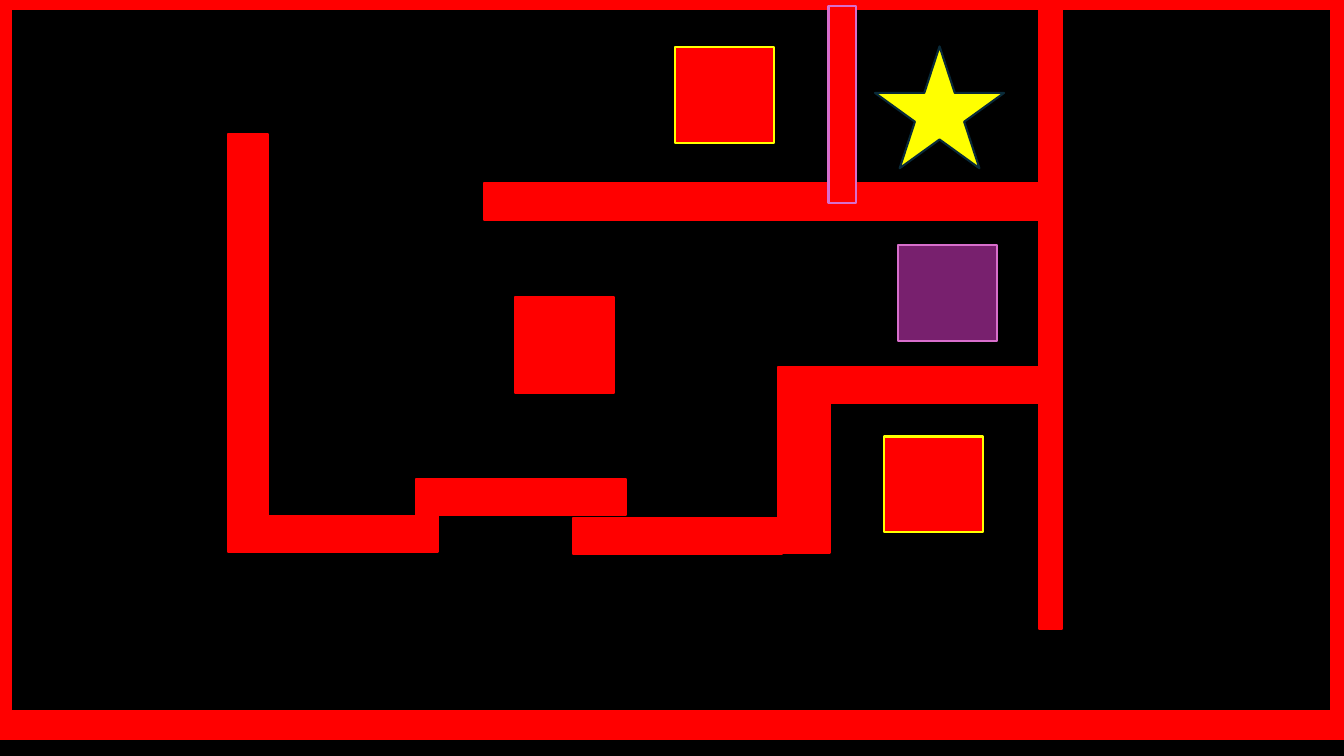
from dataclasses import dataclass

from pptx import Presentation
from pptx.dml.color import RGBColor
from pptx.enum.shapes import MSO_SHAPE
from pptx.util import Pt

RECTANGLE = MSO_SHAPE.RECTANGLE
STAR = MSO_SHAPE.STAR_5_POINT


@dataclass(frozen=True)
class Theme:
    """Colours and line width of the maze."""

    black: str = "000000"
    red: str = "FF0000"
    yellow: str = "FFFF00"
    navy: str = "092A39"
    purple: str = "78206E"
    pink: str = "D86ECC"
    line_width: float = 1.5


THEME = Theme()
SLIDE_SIZE = (960, 540)
LEDGE_HEIGHT = 25.9
LEDGE_WIDTH = 149.8
FRAME_BAR_SIZE = (1016.6, 20.2)
FRAME_SIDE_SIZE = (16.6, 522)
BLOCK_SIZE = (70.6, 68.4)

FRAME_BARS = [(-56.9, -13.7), (-56.9, 507.6)]
FRAME_SIDES = [(951.1, -13.7), (-8.6, -10.8)]
LEDGES = [
    (345.6, 131, 396.7),
    (592, 262.1, LEDGE_WIDTH),
    (409, 370.1, LEDGE_WIDTH),
    (297.4, 342, LEDGE_WIDTH),
    (162.7, 368.6, LEDGE_WIDTH),
]
UPRIGHTS = [
    (742.3, 6.5, 16.6, 442.8),
    (555.8, 262.1, 36.7, 133.2),
    (162.7, 95.8, 28.8, 274.3),
]
BLOCKS = [
    (367.9, 212.4, THEME.red, THEME.red),
    (641.5, 175, THEME.purple, THEME.pink),
    (631.4, 311.8, THEME.red, THEME.yellow),
    (482.4, 33.8, THEME.red, THEME.yellow),
]


def add_piece(slide, place, fill, outline, kind=RECTANGLE):
    """Add one filled and outlined shape at left, top, width, height."""
    piece = slide.shapes.add_shape(kind, *(Pt(length) for length in place))
    piece.shadow.inherit = False
    piece.fill.solid()
    piece.fill.fore_color.rgb = RGBColor.from_string(fill)
    line_format = {
        "width": Pt(THEME.line_width),
    }
    for name, value in line_format.items():
        setattr(piece.line, name, value)
    piece.line.color.rgb = RGBColor.from_string(outline)


def add_wall(slide, *place):
    """Add a plain red wall of the maze."""
    add_piece(slide, place, THEME.red, THEME.red)


def add_frame(slide):
    """Add the bars and sides around the maze."""
    for corner in FRAME_BARS:
        add_wall(slide, *corner, *FRAME_BAR_SIZE)
    for corner in FRAME_SIDES:
        add_wall(slide, *corner, *FRAME_SIDE_SIZE)


def add_maze(slide):
    """Add the inner ledges, uprights and blocks."""
    for left, top, width in LEDGES:
        add_wall(slide, left, top, width, LEDGE_HEIGHT)
    for upright in UPRIGHTS:
        add_wall(slide, *upright)
    for left, top, fill, outline in BLOCKS:
        add_piece(slide, (left, top, *BLOCK_SIZE), fill, outline)


def main():
    """Build and save the maze slide."""
    deck = Presentation()
    deck.slide_width, deck.slide_height = (Pt(side) for side in SLIDE_SIZE)
    slide = deck.slides.add_slide(deck.slide_layouts[6])
    add_piece(slide, (0, 0, *SLIDE_SIZE), THEME.black, THEME.black)
    add_piece(slide, (625, 33.1, 92.2, 87.1), THEME.yellow, THEME.navy, STAR)
    add_frame(slide)
    add_maze(slide)
    add_piece(slide, (591.8, 4.3, 19.4, 140.4), THEME.red, THEME.pink)
    deck.save("out.pptx")


if __name__ == "__main__":
    main()
